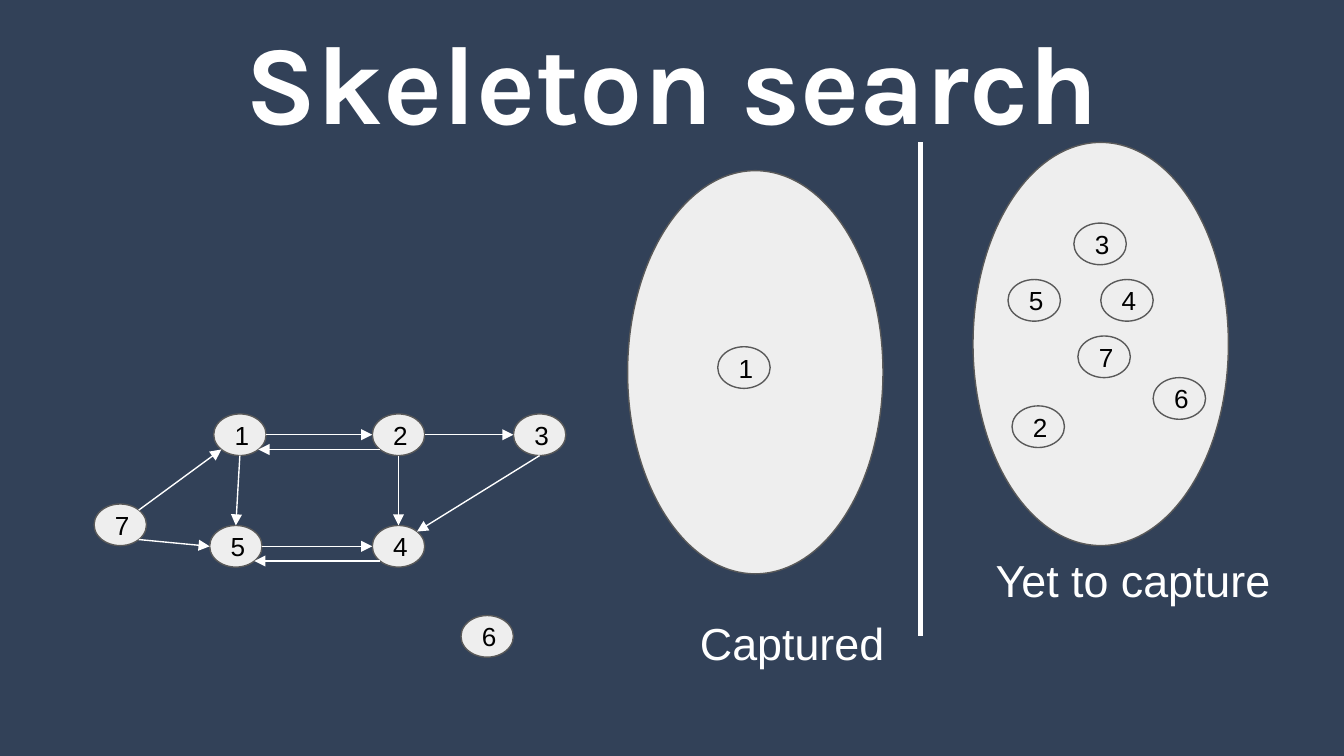
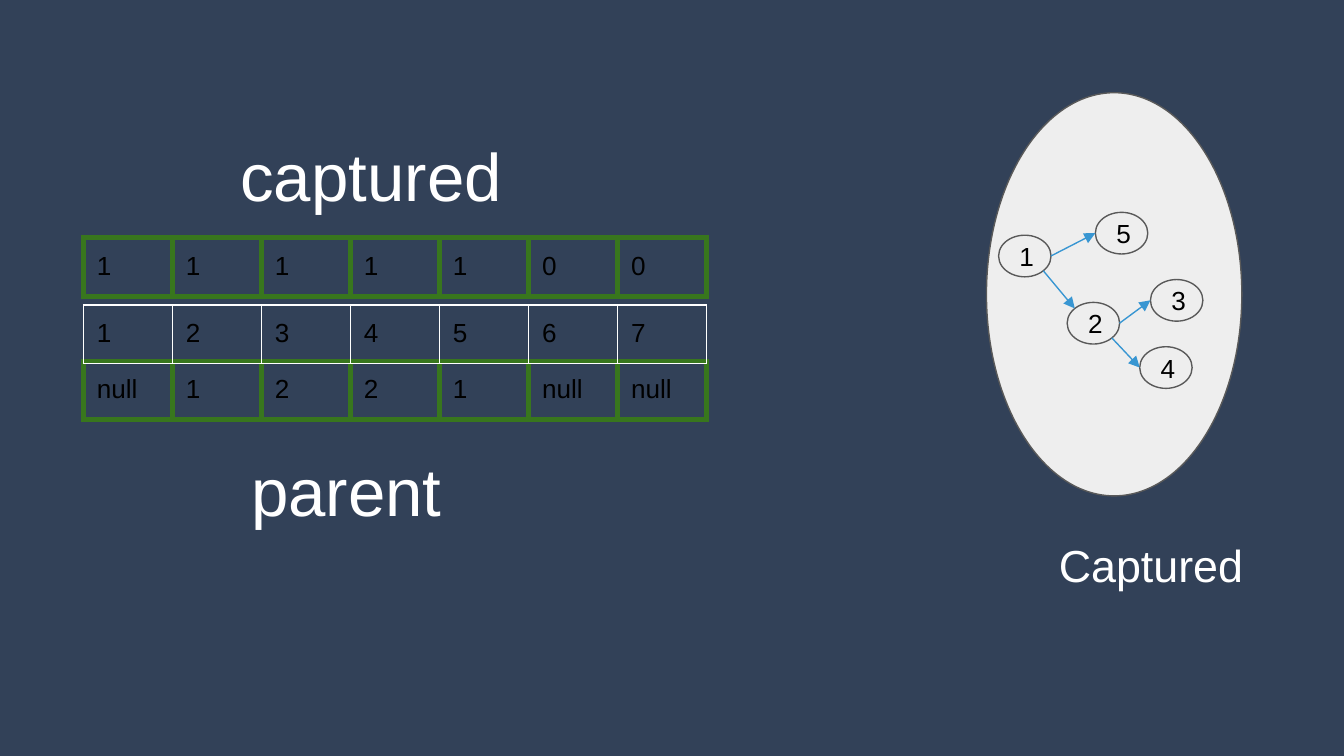
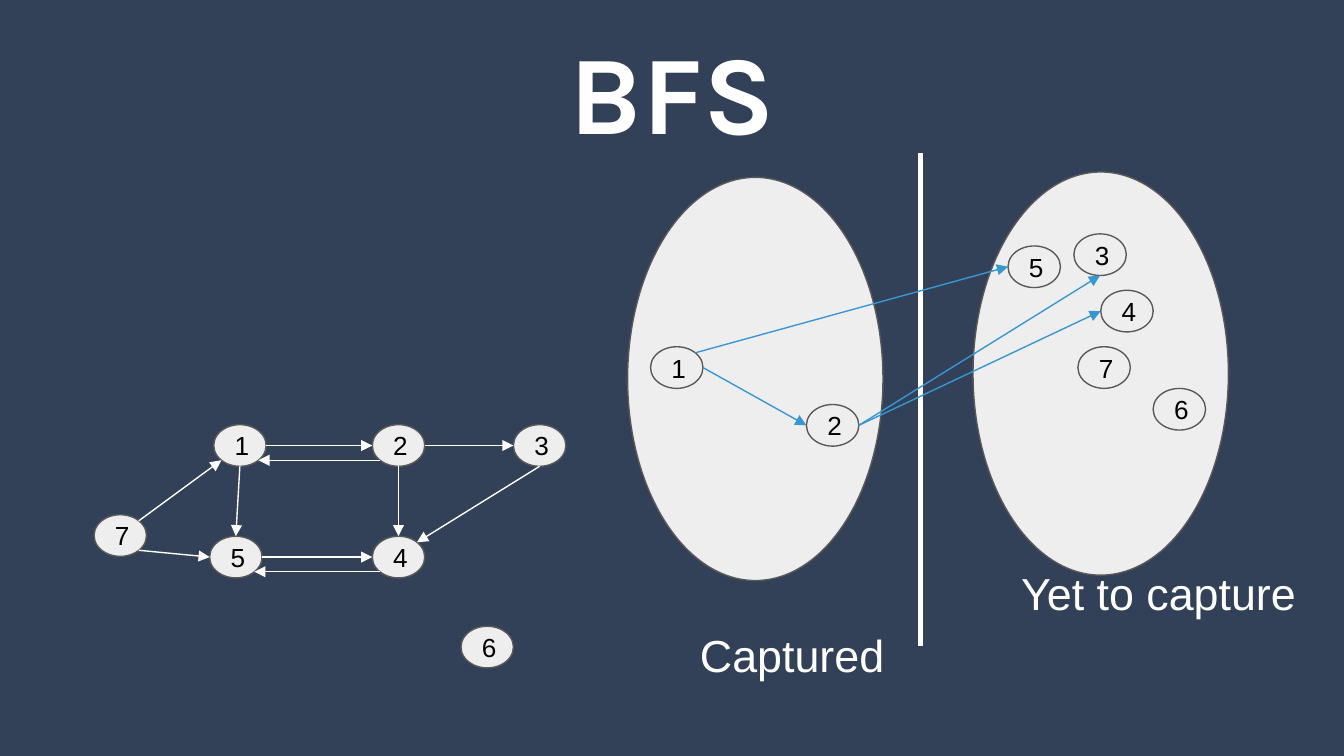
from dataclasses import dataclass
from math import cos, radians, sin

from lxml.etree import SubElement
from pptx import Presentation
from pptx.dml.color import RGBColor
from pptx.enum.shapes import MSO_CONNECTOR, MSO_SHAPE
from pptx.enum.text import MSO_ANCHOR, PP_ALIGN
from pptx.oxml.ns import qn
from pptx.util import Emu, Inches, Pt


@dataclass(frozen=True)
class Theme:
    back: str = "324158"
    white: str = "FFFFFF"
    black: str = "000000"
    pale: str = "EEEEEE"
    gray: str = "595959"
    blue: str = "3896D2"
    green: str = "38761D"
    head: str = "Karla"
    body: str = "Arial"
    title: float = 60
    name: float = 36
    label: float = 24
    small: float = 14
    thin: float = 0.75
    thick: float = 3


THEME = Theme()
WIDTH = 10
NODE = (0.39, 0.31)
OVAL = (1.9, 3)

# Connection sites of an ellipse, counterclockwise from the top
TOP, TOP_LEFT, LEFT, LOW_LEFT, LOW, LOW_RIGHT, RIGHT, TOP_RIGHT = range(8)

GRAPH = {1: (0.89, 0), 2: (2.07, 0), 3: (3.12, 0), 7: (0, 0.67),
         5: (0.86, 0.83), 4: (2.07, 0.83), 6: (2.73, 1.5)}
EDGES = [(1, RIGHT, 2, LEFT), (2, LOW_LEFT, 1, LOW_RIGHT), (2, RIGHT, 3, LEFT),
         (2, LOW, 4, TOP), (3, LOW, 4, TOP_RIGHT), (5, RIGHT, 4, LEFT),
         (4, LOW_LEFT, 5, LOW_RIGHT), (7, TOP_RIGHT, 1, LOW_LEFT),
         (7, LOW_RIGHT, 5, LEFT), (1, LOW, 5, TOP)]


def color(code):
    return RGBColor.from_string(code)


def write(frame, text, size=THEME.small, ink=THEME.white, font=THEME.body,
          bold=False, align=PP_ALIGN.LEFT, anchor=MSO_ANCHOR.TOP):
    frame.word_wrap = True
    frame.vertical_anchor = anchor
    frame.margin_left = frame.margin_right = Inches(0.1)
    frame.margin_top = frame.margin_bottom = Inches(0.1)
    par = frame.paragraphs[0]
    par.alignment = align
    run = par.add_run()
    run.text = text
    run.font.name = font
    run.font.size = Pt(size)
    run.font.bold = bold
    run.font.color.rgb = color(ink)


def add_text(slide, box, text, **style):
    shape = slide.shapes.add_textbox(*map(Inches, box))
    write(shape.text_frame, text, **style)


def add_title(slide, text, top):
    add_text(slide, (0.34, top, 9.32, 1.18), text, size=THEME.title,
             font=THEME.head, bold=True, align=PP_ALIGN.CENTER,
             anchor=MSO_ANCHOR.MIDDLE)


def add_round(slide, kind, at, size):
    shape = slide.shapes.add_shape(kind, *map(Inches, at + size))
    shape.shadow.inherit = False
    shape.fill.solid()
    shape.fill.fore_color.rgb = color(THEME.pale)
    shape.line.color.rgb = color(THEME.gray)
    shape.line.width = Pt(THEME.thin)
    return shape


def add_nodes(slide, left, top, spots):
    """Draw numbered nodes offset from a corner; return them by number."""
    nodes = {}
    for num, (x, y) in spots.items():
        node = add_round(slide, MSO_SHAPE.OVAL, (left + x, top + y), NODE)
        write(node.text_frame, str(num), ink=THEME.black,
              anchor=MSO_ANCHOR.MIDDLE)
        nodes[num] = node
    return nodes


def add_line(slide, start, end, ink=THEME.white, width=THEME.thin):
    line = slide.shapes.add_connector(MSO_CONNECTOR.STRAIGHT, *start, *end)
    line.line.color.rgb = color(ink)
    line.line.width = Pt(width)
    SubElement(line.element.spPr, qn("a:effectLst"))
    return line


def site_point(node, site):
    angle = radians(90 + 45 * site)
    return (Emu(round(node.left + node.width * (1 + cos(angle)) / 2)),
            Emu(round(node.top + node.height * (1 - sin(angle)) / 2)))


def add_arrows(slide, nodes, edges, ink):
    """Join nodes with arrows glued to their ellipse sites."""
    for first, out, last, into in edges:
        ends = ((nodes[first], out), (nodes[last], into))
        line = add_line(slide, *(site_point(*end) for end in ends), ink=ink)
        SubElement(line.element.spPr.find(qn("a:ln")), qn("a:tailEnd"),
                   type="triangle")
        glue = line.element.nvCxnSpPr.cNvCxnSpPr
        for tag, (node, site) in zip(("a:stCxn", "a:endCxn"), ends):
            SubElement(glue, qn(tag), id=str(node.shape_id), idx=str(site))


def add_graph(slide, left, top):
    nodes = add_nodes(slide, left, top, GRAPH)
    add_arrows(slide, nodes, EDGES, THEME.white)


def add_set(slide, left, top, label, shift, size, spots):
    """Draw a large oval with its nodes, and a label shifted from its corner."""
    add_round(slide, MSO_SHAPE.FLOWCHART_CONNECTOR, (left, top), OVAL)
    add_text(slide, (left + shift[0], top + shift[1]) + size, label,
             size=THEME.label)
    return add_nodes(slide, left, top, spots)


def add_captured(slide, left, top, spots, drop=3.21):
    return add_set(slide, left, top, "Captured", (0.44, drop), (1.63, 0.5), spots)


def add_waiting(slide, left, top, spots, shift):
    return add_set(slide, left, top, "Yet to capture", shift, (2.53, 0.37), spots)


def add_divider(slide, top):
    ends = [(Inches(6.85), Inches(y)) for y in (top, top + 3.67)]
    add_line(slide, *ends, width=THEME.thick)


def add_border(cell, ink, width):
    props = cell._tc.get_or_add_tcPr()
    for spot, side in enumerate(("a:lnL", "a:lnR", "a:lnT", "a:lnB")):
        edge = SubElement(props, qn(side), w=str(Pt(width)))
        fill = SubElement(edge, qn("a:solidFill"))
        SubElement(fill, qn("a:srgbClr"), val=ink)
        props.insert(spot, edge)


def add_row(slide, box, values, ink, width):
    """Draw a one-row table with plain bordered cells."""
    frame = slide.shapes.add_table(1, len(values), *map(Inches, box))
    table = frame.table
    table.first_row = table.horz_banding = False
    for num, value in enumerate(values):
        table.columns[num].width = Inches(box[2] / len(values))
        cell = table.cell(0, num)
        cell.fill.background()
        cell.margin_left = cell.margin_right = Inches(0.1)
        cell.margin_top = cell.margin_bottom = Inches(0.1)
        run = cell.text_frame.paragraphs[0].add_run()
        run.text = value
        run.font.name = THEME.body
        run.font.size = Pt(THEME.small)
        run.font.color.rgb = color(THEME.black)
        add_border(cell, ink, width)


def add_arrays(slide, left, top):
    rows = [(0, "1 1 1 1 1 0 0", THEME.green, THEME.thick),
            (0.92, "null 1 2 2 1 null null", THEME.green, THEME.thick),
            (0.5, "1 2 3 4 5 6 7", THEME.white, THEME.thin)]
    for y, values, ink, width in rows:
        add_row(slide, (left, top + y, 4.64, 0.42), values.split(), ink, width)
    for x, y, name in ((1.07, -0.87, "captured"), (1.15, 1.47, "parent")):
        add_text(slide, (left + x, top + y, 3.12, 0.7), name, size=THEME.name)


def build_search(slide):
    add_title(slide, "Skeleton search", 0)
    add_graph(slide, 0.7, 3.08)
    add_captured(slide, 4.67, 1.27, {1: (0.67, 1.31)})
    add_divider(slide, 1.06)
    spots = {3: (0.75, 0.6), 4: (0.95, 1.02), 2: (0.29, 1.96),
             7: (0.78, 1.44), 6: (1.34, 1.75), 5: (0.26, 1.02)}
    add_waiting(slide, 7.24, 1.06, spots, (0.07, 2.95))


def build_arrays(slide):
    spots = {1: (0.09, 1.06), 2: (0.6, 1.56), 5: (0.81, 0.89),
             3: (1.22, 1.39), 4: (1.14, 1.89)}
    nodes = add_captured(slide, 7.34, 0.69, spots)
    edges = [(1, LOW_RIGHT, 2, TOP_LEFT), (1, RIGHT, 5, LEFT),
             (2, RIGHT, 3, LEFT), (2, LOW_RIGHT, 4, LEFT)]
    add_arrows(slide, nodes, edges, THEME.blue)
    add_arrays(slide, 0.62, 1.77)


def build_bfs(slide):
    add_title(slide, "BFS", 0.08)
    add_graph(slide, 0.7, 3.16)
    nodes = add_captured(slide, 4.67, 1.32, {1: (0.17, 1.26), 2: (1.33, 1.69)},
                         drop=3.25)
    add_divider(slide, 1.14)
    spots = {3: (0.75, 0.46), 4: (0.95, 0.88), 7: (0.78, 1.3),
             6: (1.34, 1.61), 5: (0.26, 0.55)}
    nodes.update(add_waiting(slide, 7.24, 1.28, spots, (0.26, 2.83)))
    edges = [(1, RIGHT, 2, LEFT), (1, TOP_RIGHT, 5, LEFT),
             (2, RIGHT, 3, LOW), (2, RIGHT, 4, LEFT)]
    add_arrows(slide, nodes, edges, THEME.blue)


def main():
    deck = Presentation()
    deck.slide_width = Inches(WIDTH)
    deck.slide_height = Inches(WIDTH * 9 / 16)
    fill = deck.slide_master.background.fill
    fill.solid()
    fill.fore_color.rgb = color(THEME.back)
    for build in (build_search, build_arrays, build_bfs):
        build(deck.slides.add_slide(deck.slide_layouts[6]))
    deck.save("out.pptx")


if __name__ == "__main__":
    main()
